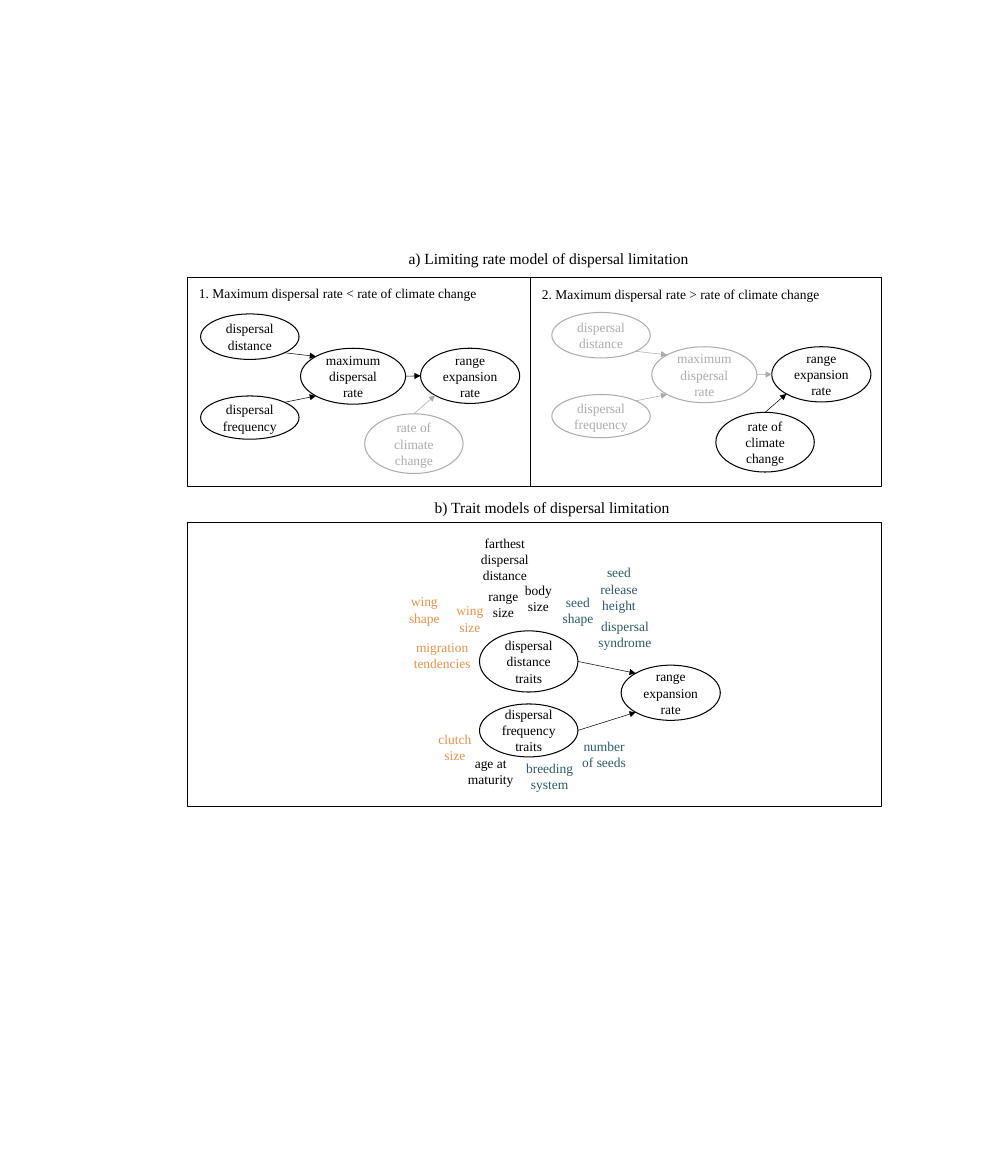
import math

import lxml.etree
import pptx
import pptx.dml.color
import pptx.enum.shapes
import pptx.enum.text
import pptx.oxml.ns
import pptx.util

PX = 9144  # 100 px to the inch
FONT = "Times New Roman"
BLACK, GREY, ORANGE, TEAL = "000000", "AFABAB", "E8934E", "2C5B6A"
# Directions on an oval, in degrees clockwise from its right end
RIGHT, LOWER_RIGHT, LOWER_LEFT = 0, 45, 135
UPPER_LEFT, TOP, UPPER_RIGHT = 225, 270, 315

TRAITS = [
    ("farthest dispersal distance", 611, 706, 132, BLACK),
    ("range\nsize", 609, 767, 132, BLACK),
    ("body\nsize", 656, 759, 132, BLACK),
    ("wing shape", 503, 774, 132, ORANGE),
    ("wing\nsize", 564, 786, 132, ORANGE),
    ("migration tendencies", 523, 835, 140, ORANGE),
    ("seed shape", 709, 775, 132, TEAL),
    ("seed release height", 764, 746, 132, TEAL),
    ("dispersal syndrome", 772, 807, 132, TEAL),
    ("clutch size", 544, 958, 132, ORANGE),
    ("age at maturity", 592, 991, 132, BLACK),
    ("breeding system", 671, 997, 132, TEAL),
    ("number of seeds", 744, 968, 132, TEAL),
]


def px(*lengths):
    return [pptx.util.Emu(round(n * PX)) for n in lengths]


def rgb(color):
    return pptx.dml.color.RGBColor.from_string(color)


def write(tf, text, size, color, align):
    tf.text = text
    tf.vertical_anchor = pptx.enum.text.MSO_ANCHOR.MIDDLE
    for p in tf.paragraphs:
        p.alignment = align
        for r in p.runs:
            r.font.name = FONT
            r.font.size = pptx.util.Pt(size)
            r.font.color.rgb = rgb(color)


def outlined(s, kind, box, line):
    """Add an unfilled shape; line is a colour or None."""
    sp = s.shapes.add_shape(kind, *px(*box))
    sp.shadow.inherit = False
    sp.fill.background()
    if line:
        sp.line.color.rgb = rgb(line)
        sp.line.width = pptx.util.Pt(1)
    else:
        sp.line.fill.background()
    return sp


def panel(s, *box):
    outlined(s, pptx.enum.shapes.MSO_SHAPE.RECTANGLE, box, BLACK)


def oval(s, text, box, color, line=None):
    sp = outlined(s, pptx.enum.shapes.MSO_SHAPE.OVAL, box, line)
    sp.text_frame.word_wrap = True
    write(sp.text_frame, text, 13, color, pptx.enum.text.PP_ALIGN.CENTER)
    return sp


def node(s, text, box, color=BLACK):
    return oval(s, text, box, color, color)


def heading(s, text, box, size):
    tf = s.shapes.add_textbox(*px(*box)).text_frame
    tf.word_wrap = False
    write(tf, text, size, BLACK, pptx.enum.text.PP_ALIGN.LEFT)


def rim(sp, degrees):
    """Return the point on an oval's outline in the given direction."""
    a = math.radians(degrees)
    return (round(sp.left + sp.width / 2 * (1 + math.cos(a))),
            round(sp.top + sp.height / 2 * (1 + math.sin(a))))


def arrow(s, start, start_side, end, end_side, color=BLACK):
    cx = s.shapes.add_connector(
        pptx.enum.shapes.MSO_CONNECTOR.STRAIGHT,
        *rim(start, start_side), *rim(end, end_side))
    cx.line.color.rgb = rgb(color)
    cx.line.width = pptx.util.Pt(0.5)
    qn = pptx.oxml.ns.qn
    lxml.etree.SubElement(cx.line._get_or_add_ln(), qn("a:tailEnd"), type="triangle")
    lxml.etree.SubElement(cx._element.spPr, qn("a:effectLst"))


def rate_model(s, x, y, dispersal_color, climate_color):
    """Draw the limiting rate network with its top left corner at x, y."""
    distance = node(s, "dispersal distance", (x, y, 132, 61), dispersal_color)
    frequency = node(s, "dispersal frequency", (x, y + 110, 132, 58), dispersal_color)
    maximum = node(s, "maximum dispersal rate", (x + 134, y + 46, 141, 75), dispersal_color)
    expansion = node(s, "range expansion rate", (x + 295, y + 46, 133, 74))
    climate = node(s, "rate of climate change", (x + 220, y + 134, 132, 80), climate_color)
    arrow(s, distance, LOWER_RIGHT, maximum, UPPER_LEFT, dispersal_color)
    arrow(s, frequency, UPPER_RIGHT, maximum, LOWER_LEFT, dispersal_color)
    arrow(s, maximum, RIGHT, expansion, 180, dispersal_color)
    arrow(s, climate, TOP, expansion, LOWER_LEFT, climate_color)


def trait_model(s):
    for text, x, y, w, color in TRAITS:
        oval(s, text, (x, y, w, 87), color)
    distance = node(s, "dispersal distance\ntraits", (643, 846, 132, 82))
    frequency = node(s, "dispersal frequency\ntraits", (643, 944, 132, 71))
    expansion = node(s, "range expansion rate", (833, 892, 133, 74))
    arrow(s, distance, RIGHT, expansion, UPPER_LEFT)
    arrow(s, frequency, RIGHT, expansion, LOWER_LEFT)


def main():
    prs = pptx.Presentation()
    prs.slide_width, prs.slide_height = px(1333, 1577)
    s = prs.slides.add_slide(prs.slide_layouts[6])

    heading(s, "a) Limiting rate model of dispersal limitation", (538, 329, 399, 35), 15)
    panel(s, 251, 372, 460, 280)
    panel(s, 711, 372, 471, 280)
    heading(s, "1. Maximum dispersal rate < rate of climate change", (257, 377, 440, 32), 13)
    heading(s, "2. Maximum dispersal rate > rate of climate change", (717, 379, 440, 32), 13)
    rate_model(s, 269, 421, BLACK, GREY)
    rate_model(s, 740, 419, GREY, BLACK)

    heading(s, "b) Trait models of dispersal limitation", (573, 663, 338, 35), 15)
    panel(s, 251, 701, 931, 380)
    trait_model(s)
    prs.save("out.pptx")


if __name__ == "__main__":
    main()
